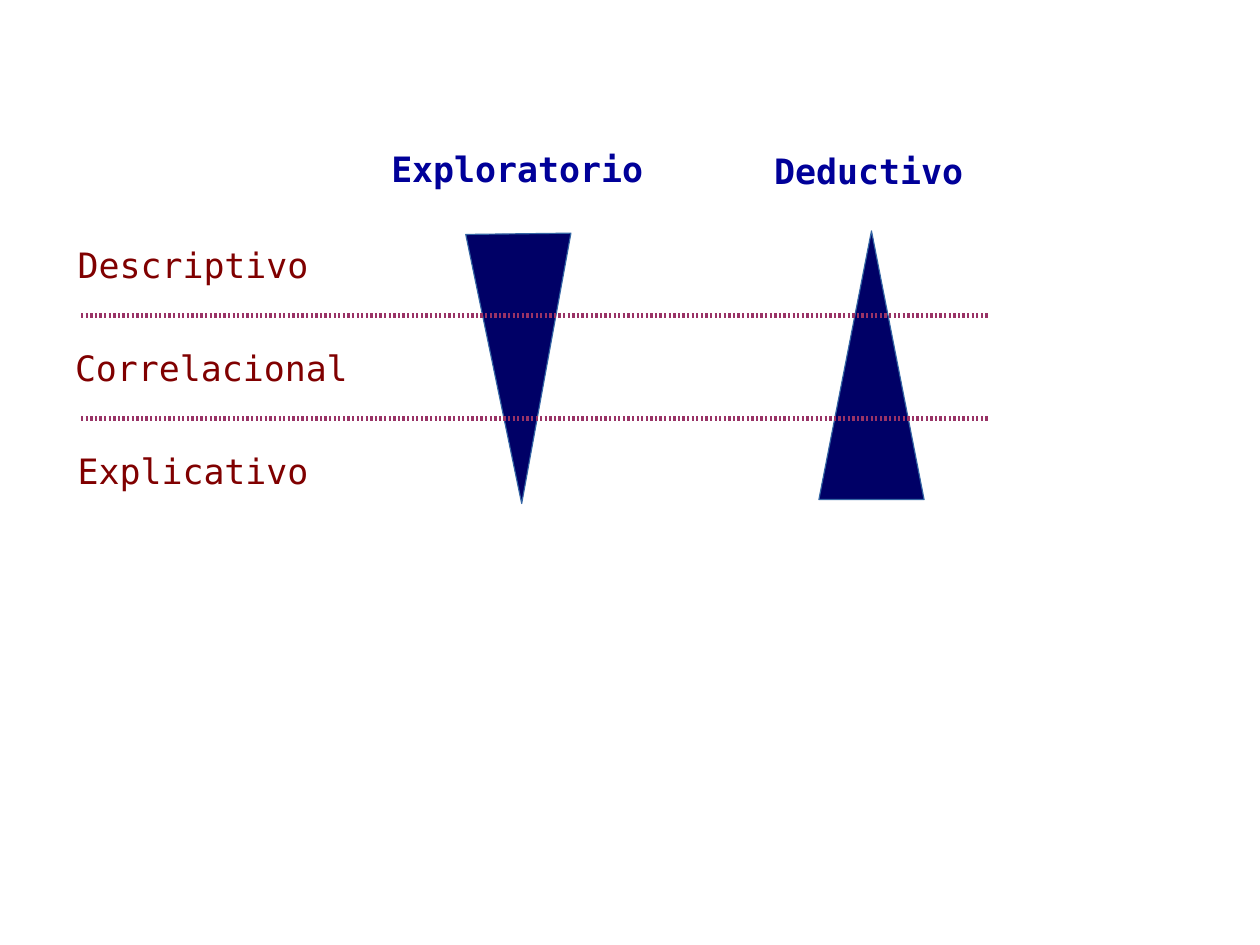
"""Build a slide that compares exploratory and deductive research levels."""
from lxml.etree import SubElement
from pptx import Presentation
from pptx.dml.color import RGBColor
from pptx.enum.shapes import MSO_CONNECTOR, MSO_SHAPE
from pptx.enum.text import MSO_ANCHOR, PP_ALIGN
from pptx.oxml.ns import qn
from pptx.util import Cm, Pt

WHITE = RGBColor(0xFF, 0xFF, 0xFF)
MAROON = RGBColor(0x80, 0x00, 0x00)
BLUE = RGBColor(0x00, 0x00, 0x99)
NAVY = RGBColor(0x00, 0x00, 0x66)
STEEL = RGBColor(0x34, 0x65, 0xA4)
PLUM = RGBColor(0x99, 0x33, 0x66)
FONT = "DejaVu Sans Mono"
WIDTH, HEIGHT = Cm(28), Cm(21)
COLS, ROWS = 110.24, 82.68


def grid(cols, rows):
    """Turn grid columns and rows into slide lengths."""
    return round(WIDTH * cols / COLS), round(HEIGHT * rows / ROWS)


def add_filled(slide, kind, box, fill, line):
    """Add a preset shape with a hairline outline."""
    x, y, w, h = box
    s = slide.shapes.add_shape(kind, *grid(x, y), *grid(w, h))
    s.shadow.inherit = False
    s.fill.solid()
    s.fill.fore_color.rgb = fill
    s.line.color.rgb = line
    s.line.width = Pt(0)
    return s


def add_label(slide, box, text, color, bold=False):
    """Add a white rectangle with one centred line of text."""
    tf = add_filled(slide, MSO_SHAPE.RECTANGLE, box, WHITE, WHITE).text_frame
    tf.word_wrap = False
    tf.vertical_anchor = MSO_ANCHOR.MIDDLE
    p = tf.paragraphs[0]
    p.text = text
    p.alignment = PP_ALIGN.CENTER
    p.font.name, p.font.size, p.font.bold = FONT, Pt(22), bold
    p.font.color.rgb = color


def add_levels(slide, box):
    """Stack the research levels in equal rows of the box."""
    x, y, w, h = box
    levels = [("Descriptivo", 0), ("Correlacional", 1.6), ("Explicativo", 0)]
    row, label_height = h / len(levels), 5.9
    for i, (text, indent) in enumerate(levels):
        top = y + i * row + (row - label_height) / 2
        add_label(slide, (x + indent, top, w, label_height), text, MAROON)


def add_approach(slide, box, text, drop, angle):
    """Put a heading at the top of the box and a triangle below it."""
    x, y, w, h = box
    add_label(slide, (x, y, w, 2), text, BLUE, bold=True)
    area = (x + 5.9, y + drop, 9.2, h - drop)
    add_filled(slide, MSO_SHAPE.ISOSCELES_TRIANGLE, area, NAVY, STEEL).rotation = angle


def add_dividers(slide, box):
    """Draw dotted lines along the top and bottom of the box."""
    x, y, w, h = box
    for level in (y, y + h):
        s = slide.shapes.add_connector(
            MSO_CONNECTOR.STRAIGHT, *grid(x, level), *grid(x + w, level))
        s.line.color.rgb = PLUM
        s.line.width = Pt(2.89)
        dash = SubElement(s.line._get_or_add_ln(), qn("a:custDash"))
        SubElement(dash, qn("a:ds"), d="50000", sp="50000")
        SubElement(s._element.spPr, qn("a:effectLst"))


def main():
    """Build and save the slide."""
    prs = Presentation()
    prs.slide_width, prs.slide_height = WIDTH, HEIGHT
    slide = prs.slides.add_slide(prs.slide_layouts[6])
    add_levels(slide, (3.1, 18.65, 27.6, 27))
    add_approach(slide, (35, 13.75, 20.5, 30.3), "Exploratorio", 6.7, 179.3)
    add_approach(slide, (65.75, 13.9, 20.5, 29.8), "Deductivo", 6.3, 0)
    add_dividers(slide, (7.1, 27.6, 79.5, 9))
    prs.save("out.pptx")


if __name__ == "__main__":
    main()
